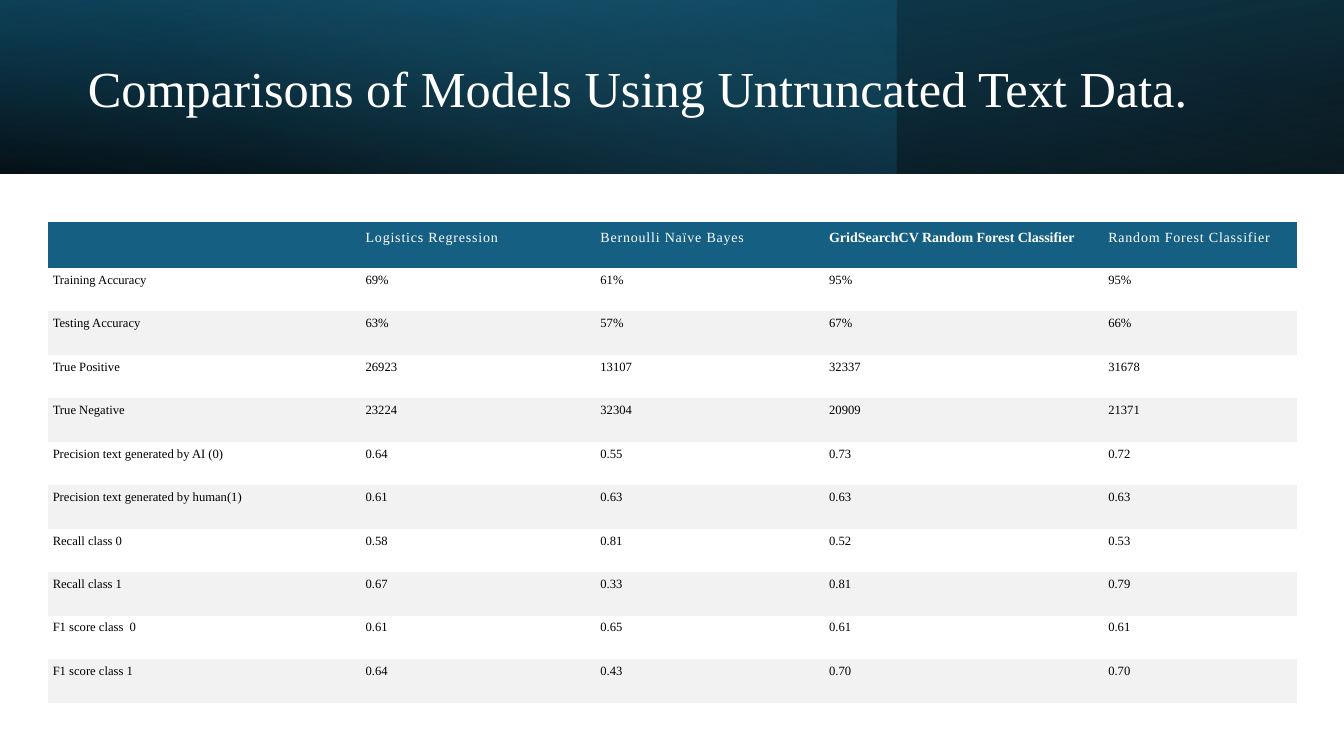
from pptx import Presentation
from pptx.dml.color import RGBColor
from pptx.enum.shapes import MSO_SHAPE
from pptx.enum.text import MSO_ANCHOR, MSO_AUTO_SIZE, PP_ALIGN
from pptx.oxml import parse_xml
from pptx.oxml.ns import nsdecls
from pptx.util import Inches, Pt

COLORS = {
    "white": "FFFFFF", "black": "000000", "teal": "156082",
    "deep": "104862", "sky": "46B1E1", "stripe": "F2F2F2",
}
FONT = "Times New Roman"
NO_GRID_STYLE = "{2D5ABB26-0587-4C30-8999-92F81FD0307C}"
TITLE = "Comparisons of Models Using Untruncated Text Data."
BAND_HEIGHT = 22.97
COLUMN_WIDTHS = [23.28, 17.47, 17.02, 20.77, 14.4]
HEADER_HEIGHT, ROW_HEIGHT = 6.1, 5.75
TUNED_MODEL = "GridSearchCV Random Forest Classifier"
MODELS = ["Logistics Regression", "Bernoulli Naïve Bayes", TUNED_MODEL,
          "Random Forest Classifier"]
METRICS = [
    ["Training Accuracy", "69%", "61%", "95%", "95%"],
    ["Testing Accuracy", "63%", "57%", "67%", "66%"],
    ["True Positive", "26923", "13107", "32337", "31678"],
    ["True Negative", "23224", "32304", "20909", "21371"],
    ["Precision text generated by AI (0)", "0.64", "0.55", "0.73", "0.72"],
    ["Precision text generated by human(1)", "0.61", "0.63", "0.63", "0.63"],
    ["Recall class 0", "0.58", "0.81", "0.52", "0.53"],
    ["Recall class 1", "0.67", "0.33", "0.81", "0.79"],
    ["F1 score class  0", "0.61", "0.65", "0.61", "0.61"],
    ["F1 score class 1", "0.64", "0.43", "0.70", "0.70"],
]


class SlideBuilder:
    """Places elements on one slide; lengths are percentages of its size."""

    def __init__(self, presentation):
        self.width = presentation.slide_width
        self.height = presentation.slide_height
        self.slide = presentation.slides.add_slide(presentation.slide_layouts[5])

    def across(self, share):
        return int(self.width * share / 100)

    def down(self, share):
        return int(self.height * share / 100)

    def box(self, left, top, width, height):
        return self.across(left), self.down(top), self.across(width), self.down(height)

    def style(self, paragraph, size, color, bold=False):
        font = paragraph.font
        font.name, font.size, font.bold = FONT, Pt(size), bold
        font.color.rgb = RGBColor.from_string(COLORS[color])

    def band(self, width, stops, angle, flip=False, rotation=0):
        """Add a top band; stops are (position, color, opacity) percentages."""
        band = self.slide.shapes.add_shape(
            MSO_SHAPE.RECTANGLE, *self.box(0, 0, width, BAND_HEIGHT))
        band.shadow.inherit = False
        band.line.fill.background()
        band.rotation = rotation
        properties = band._element.spPr
        if flip:
            properties.xfrm.set("flipH", "1")
        stop_list = "".join(
            f'<a:gs pos="{position * 1000}"><a:srgbClr val="{COLORS[color]}">'
            f'<a:alpha val="{opacity * 1000}"/></a:srgbClr></a:gs>'
            for position, color, opacity in stops)
        gradient = parse_xml(
            f'<a:gradFill {nsdecls("a")} rotWithShape="1"><a:gsLst>{stop_list}</a:gsLst>'
            f'<a:lin ang="{angle * 60000}" scaled="0"/></a:gradFill>')
        properties.prstGeom.addnext(gradient)

    def title(self, text, *place):
        title = self.slide.shapes.title
        title.left, title.top, title.width, title.height = self.box(*place)
        frame = title.text_frame
        frame.text = text
        frame.word_wrap = True
        frame.auto_size = MSO_AUTO_SIZE.NONE
        frame.vertical_anchor = MSO_ANCHOR.MIDDLE
        paragraph = frame.paragraphs[0]
        paragraph.alignment = PP_ALIGN.LEFT
        paragraph.line_spacing = 0.9
        self.style(paragraph, 36, "white")
        # The title stands in front of the bands.
        self.slide.shapes._spTree.append(title._element)

    def cell(self, cell, text, fill):
        cell.text = text
        cell.margin_left = cell.margin_top = Inches(0.05)
        cell.margin_right, cell.margin_bottom = Inches(0.02), Inches(0.04)
        if fill:
            cell.fill.solid()
            cell.fill.fore_color.rgb = RGBColor.from_string(COLORS[fill])
        else:
            cell.fill.background()
        return cell.text_frame.paragraphs[0]

    def header_cell(self, cell, text):
        paragraph = self.cell(cell, text, "teal")
        cell.vertical_anchor = MSO_ANCHOR.MIDDLE
        cell.margin_bottom = Inches(0.2)
        tuned = text == TUNED_MODEL
        self.style(paragraph, 10, "white", bold=tuned)
        if not tuned:
            for run in paragraph.runs:
                run._r.get_or_add_rPr().set("spc", "60")

    def table(self, left, top, header, rows):
        height = HEADER_HEIGHT + ROW_HEIGHT * len(rows)
        table = self.slide.shapes.add_table(
            len(rows) + 1, len(header),
            *self.box(left, top, sum(COLUMN_WIDTHS), height)).table
        table.first_row = table.horz_banding = False
        table._tbl.tblPr.find("{*}tableStyleId").text = NO_GRID_STYLE
        for column, width in zip(table.columns, COLUMN_WIDTHS):
            column.width = self.across(width)
        for index, row in enumerate(table.rows):
            row.height = self.down(ROW_HEIGHT if index else HEADER_HEIGHT)
        for column, text in enumerate(header):
            self.header_cell(table.cell(0, column), text)
        for index, values in enumerate(rows, start=1):
            fill = "stripe" if index % 2 == 0 else None
            for column, text in enumerate(values):
                self.style(self.cell(table.cell(index, column), text, fill), 9, "black")


def main():
    presentation = Presentation()
    presentation.slide_width, presentation.slide_height = Inches(13.33), Inches(7.5)
    builder = SlideBuilder(presentation)
    builder.band(100, [(0, "black", 96), (100, "deep", 100)], 100, flip=True, rotation=180)
    builder.band(66.67, [(0, "teal", 41), (74, "sky", 0)], 140)
    builder.band(100, [(0, "black", 63), (78, "teal", 15)], 260, flip=True)
    builder.title(TITLE, 5.78, 3.6, 83.8, 16.93)
    builder.table(3.55, 29.35, ["", *MODELS], METRICS)
    presentation.save("out.pptx")


if __name__ == "__main__":
    main()
